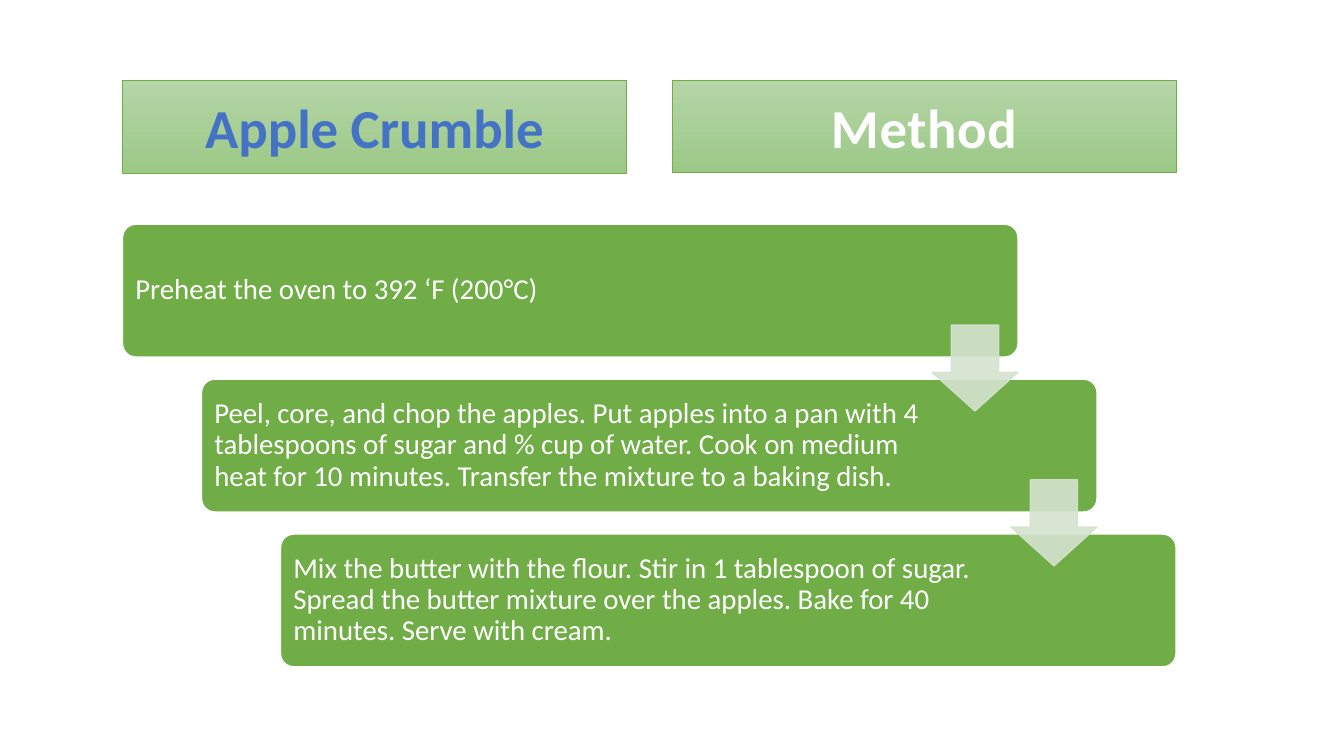
from lxml import etree
from pptx import Presentation
from pptx.dml.color import RGBColor
from pptx.enum.shapes import MSO_SHAPE
from pptx.enum.text import MSO_ANCHOR, MSO_AUTO_SIZE, PP_ALIGN
from pptx.oxml import parse_xml
from pptx.oxml.ns import nsdecls, qn
from pptx.util import Inches, Pt

RECTANGLE = MSO_SHAPE.RECTANGLE
ROUNDED = MSO_SHAPE.ROUNDED_RECTANGLE
DOWN_ARROW = MSO_SHAPE.DOWN_ARROW
MIDDLE = MSO_ANCHOR.MIDDLE
FIXED_SIZE = MSO_AUTO_SIZE.NONE
CENTER, LEFT = PP_ALIGN.CENTER, PP_ALIGN.LEFT

GREEN = RGBColor(0x70, 0xAD, 0x47)
GREEN_TOP = RGBColor(0xB5, 0xD5, 0xA7)
GREEN_BOTTOM = RGBColor(0x9C, 0xC9, 0x87)
ARROW_GREEN = RGBColor(0xD5, 0xE3, 0xCF)
BLUE = RGBColor(0x44, 0x72, 0xC4)
LIGHT_BLUE = RGBColor(0x5B, 0x9B, 0xD5)
WHITE = RGBColor(0xFF, 0xFF, 0xFF)
NEAR_WHITE = RGBColor(0xFE, 0xFE, 0xFE)

FONT = "Calibri"
LEFT_EDGE, CONTENT_WIDTH = 1.24, 10.66
STEPS = [
    "Preheat the oven to 392 ‘F (200°C)",
    "Peel, core, and chop the apples. Put apples into a pan with 4 tablespoons of sugar "
    "and % cup of water. Cook on medium heat for 10 minutes. Transfer the mixture to a "
    "baking dish.",
    "Mix the butter with the flour. Stir in 1 tablespoon of sugar. Spread the butter "
    "mixture over the apples. Bake for 40 minutes. Serve with cream.",
]


def write(shape, text, size, color, align, spacing, bold=False):
    """Fill a shape with one formatted paragraph and return its run."""
    frame = shape.text_frame
    frame.word_wrap = True
    frame.auto_size = FIXED_SIZE
    frame.vertical_anchor = MIDDLE
    para = frame.paragraphs[0]
    para.alignment = align
    para.line_spacing = spacing
    span = para.add_run()
    span.text = text
    para.font.name = FONT
    para.font.size = Pt(size)
    para.font.bold = bold
    para.font.color.rgb = color
    return span


def outline_text(span, color):
    """Give the letters of a run a thin outline."""
    span.font._element.insert(0, parse_xml(
        f'<a:ln {nsdecls("a")} w="9525"><a:solidFill><a:srgbClr val="{color}"/>'
        '</a:solidFill></a:ln>'))


def shade_text(span, color):
    """Space the letters of a run slightly and cast a shadow from them."""
    properties = span.font._element
    properties.set("spc", "50")
    properties.append(parse_xml(
        f'<a:effectLst {nsdecls("a")}><a:outerShdw dist="38100" dir="2700000">'
        f'<a:srgbClr val="{color}"/></a:outerShdw></a:effectLst>'))


def make_translucent(fill, percent):
    """Set the opacity of a solid fill."""
    for color in fill._xPr.iter(qn("a:srgbClr")):
        etree.SubElement(color, qn("a:alpha")).set("val", str(percent * 1000))


def heading(shape, box, text, color, outline):
    """Place and format one gradient heading panel."""
    shape.left, shape.top, shape.width, shape.height = map(Inches, box)
    shape.fill.gradient()
    shape.fill.gradient_angle = 270
    for stop, stop_color in zip(shape.fill.gradient_stops, (GREEN_TOP, GREEN_BOTTOM)):
        stop.color.rgb = stop_color
    shape.line.color.rgb = GREEN
    shape.line.width = Pt(0.5)
    span = write(shape, text, 40, color, CENTER, 1.0, bold=True)
    outline_text(span, outline)
    return span


def headings(page, box):
    """Place the title and the method heading side by side."""
    left, top, width, height = box
    gap = 0.46
    panel_width = (width - gap) / 2
    heading(page.shapes.title, (left, top, panel_width, height),
            "Apple Crumble", BLUE, WHITE)
    method = page.shapes.add_shape(RECTANGLE, 0, 0, 0, 0)
    method.shadow.inherit = False
    span = heading(method, (left + panel_width + gap, top, panel_width, height),
                   "Method", NEAR_WHITE, LIGHT_BLUE)
    shade_text(span, LIGHT_BLUE)


def solid_shape(page, kind, box, color, line_color, adjustments):
    """Add a flat shape with a thin line."""
    shape = page.shapes.add_shape(kind, *map(Inches, box))
    shape.shadow.inherit = False
    for index, value in enumerate(adjustments):
        shape.adjustments[index] = value
    shape.fill.solid()
    shape.fill.fore_color.rgb = color
    shape.line.color.rgb = line_color
    shape.line.width = Pt(1)
    return shape


def staircase(page, box):
    """Place the steps as a descending staircase joined by block arrows."""
    left, top, width, height = box
    step_width, step_height, arrow = width * 0.85, height * 0.3, 0.87
    shift = (width - step_width) / (len(STEPS) - 1)
    drop = (height - step_height) / (len(STEPS) - 1)
    for index, text in enumerate(STEPS):
        place = (left + index * shift, top + index * drop, step_width, step_height)
        step = solid_shape(page, ROUNDED, place, GREEN, WHITE, [0.1])
        step.text_frame.margin_left = Inches(0.09)
        step.text_frame.margin_right = Inches(1.6)
        write(step, text, 21, WHITE, LEFT, 0.9)
    for index in range(len(STEPS) - 1):
        place = (left + index * shift + step_width - arrow,
                 top + index * drop + 1.02, arrow, arrow)
        shape = solid_shape(page, DOWN_ARROW, place, ARROW_GREEN, ARROW_GREEN, [0.55, 0.45])
        make_translucent(shape.fill, 90)


def main():
    """Build the recipe slide and save it."""
    deck = Presentation()
    deck.slide_width, deck.slide_height = Inches(13.6), Inches(7.5)
    page = deck.slides.add_slide(deck.slide_layouts[5])
    headings(page, (LEFT_EDGE, 0.81, CONTENT_WIDTH, 0.94))
    staircase(page, (LEFT_EDGE, 2.27, CONTENT_WIDTH, 4.48))
    deck.save("out.pptx")


if __name__ == "__main__":
    main()
